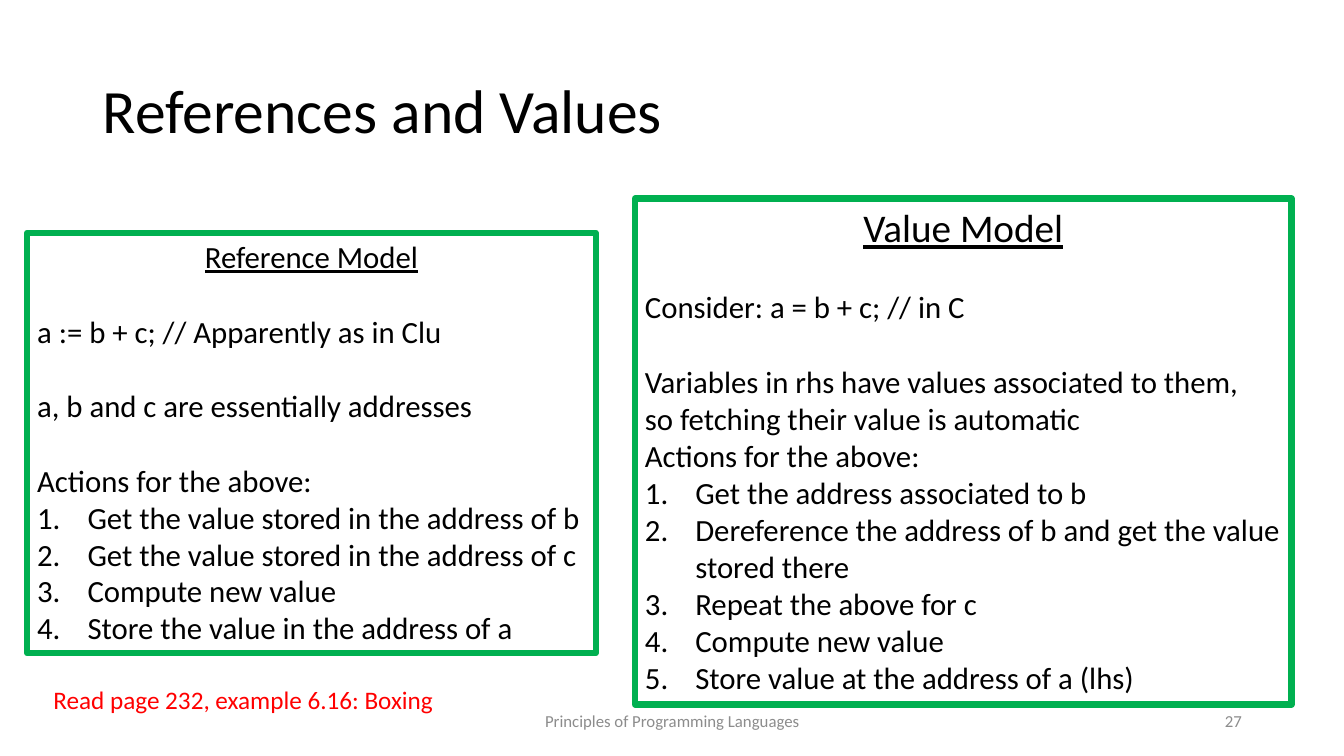
import pptx
import pptx.dml.color
import pptx.enum.shapes
import pptx.enum.text
import pptx.util
from lxml import etree

ALIGN = pptx.enum.text.PP_ALIGN
ANCHOR = pptx.enum.text.MSO_ANCHOR
BODY_SIZE = 22
LINE_GAP = 26.85  # height of one body line, in points


def colour(value):
    return pptx.dml.color.RGBColor.from_string(value)


class SlideBuilder:
    """Holds the style and the slide; places are percentages of its size."""

    font = "Calibri"
    ink, grey, green, red = "000000", "8C8C8C", "00B050", "FF0000"

    def __init__(self, deck):
        self.deck = deck
        self.slide = deck.slides.add_slide(deck.slide_layouts[5])

    def area(self, left, top, width, height):
        across, down = self.deck.slide_width, self.deck.slide_height
        return [pptx.util.Emu(round(share * full / 100)) for share, full in
                ((left, across), (top, down), (width, across), (height, down))]

    def add_text(self, para, text, size, ink=ink, align=ALIGN.LEFT, underline=False):
        para.alignment = align
        span = para.add_run()
        span.text = text
        span.font.name = self.font
        span.font.size = pptx.util.Pt(size)
        span.font.color.rgb = colour(ink)
        span.font.underline = underline

    def number(self, para):
        properties = para._p.get_or_add_pPr()
        indent = pptx.util.Inches(0.5)
        properties.set("marL", str(indent))
        properties.set("indent", str(-indent))
        etree.SubElement(properties, pptx.oxml.ns.qn("a:buFont"), typeface="+mj-lt")
        etree.SubElement(properties, pptx.oxml.ns.qn("a:buAutoNum"), type="arabicPeriod")

    def title(self, place, text):
        box = self.slide.shapes.title
        box.left, box.top, box.width, box.height = self.area(*place)
        box.text_frame.vertical_anchor = ANCHOR.MIDDLE
        para = box.text_frame.paragraphs[0]
        para.line_spacing = 0.9
        self.add_text(para, text, 44)

    def label(self, place, text, size, ink, align=ALIGN.LEFT, anchor=ANCHOR.TOP):
        box = self.slide.shapes.add_textbox(*self.area(*place))
        box.text_frame.word_wrap = True
        box.text_frame.vertical_anchor = anchor
        self.add_text(box.text_frame.paragraphs[0], text, size, ink, align)

    def model(self, place, heading, heading_size, statements, steps):
        """Framed panel; each statement is (text, has a gap above)."""
        box = self.slide.shapes.add_shape(
            pptx.enum.shapes.MSO_SHAPE.RECTANGLE, *self.area(*place))
        box.shadow.inherit = False
        box.fill.background()
        box.line.color.rgb = colour(self.green)
        box.line.width = pptx.util.Pt(4.5)
        frame = box.text_frame
        frame.word_wrap = True
        frame.vertical_anchor = ANCHOR.TOP
        self.add_text(frame.paragraphs[0], heading, heading_size,
                      align=ALIGN.CENTER, underline=True)
        for text, gap in statements:
            para = frame.add_paragraph()
            if gap:
                para.space_before = pptx.util.Pt(LINE_GAP)
            self.add_text(para, text, BODY_SIZE)
        for text in steps:
            para = frame.add_paragraph()
            self.add_text(para, text, BODY_SIZE)
            self.number(para)


def main():
    deck = pptx.Presentation()
    deck.slide_width = pptx.util.Inches(13.33)
    deck.slide_height = pptx.util.Inches(7.5)
    page = SlideBuilder(deck)

    # Title and footer
    page.title((6.9, 5.33, 86.25, 19.33), "References and Values")
    page.label((33.15, 92.67, 33.75, 5.33), "Principles of Programming Languages",
               12, page.grey, ALIGN.CENTER, ANCHOR.MIDDLE)
    page.label((70.65, 92.67, 22.5, 5.33), "27",
               12, page.grey, ALIGN.RIGHT, ANCHOR.MIDDLE)

    # The two models
    page.model(
        (2.03, 30.8, 42.3, 55.6), "Reference Model", 22,
        [("a := b + c; // Apparently as in Clu", True),
         ("a, b and c are essentially addresses", True),
         ("Actions for the above:", True)],
        ["Get the value stored in the address of b",
         "Get the value stored in the address of c",
         "Compute new value",
         "Store the value in the address of a"])
    page.model(
        (47.25, 26.27, 48.85, 66.93), "Value Model", 28,
        [("Consider: a = b + c; // in C", True),
         ("Variables in rhs have values associated to them,", True),
         ("so fetching their value is automatic", False),
         ("Actions for the above:", False)],
        ["Get the address associated to b",
         "Dereference the address of b and get the value stored there",
         "Repeat the above for c",
         "Compute new value",
         "Store value at the address of a (lhs)"])

    # Reading note
    page.label((3.23, 89.87, 30.1, 5.33), "Read page 232, example 6.16: Boxing",
               18, page.red)

    deck.save("out.pptx")


if __name__ == "__main__":
    main()
